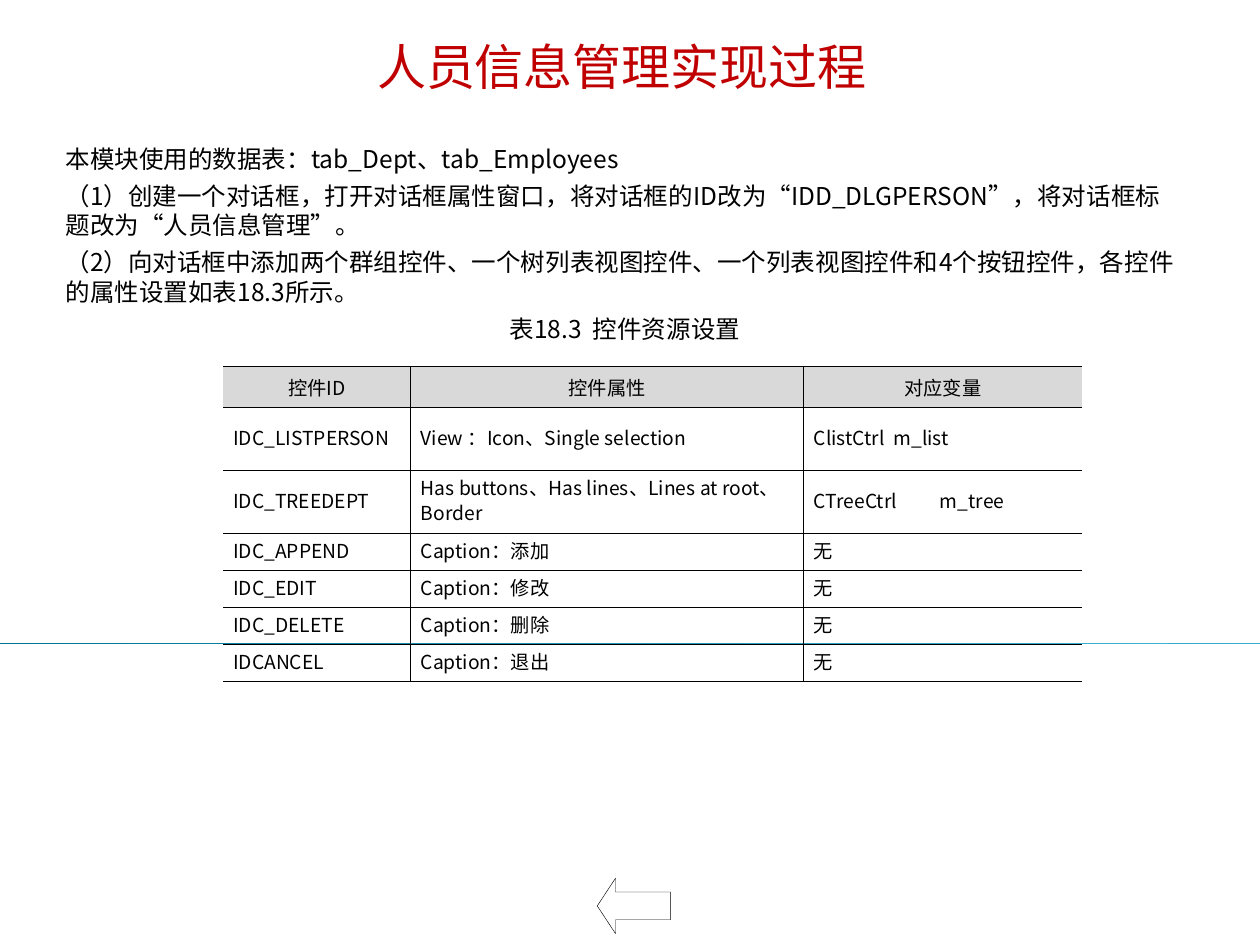
from dataclasses import dataclass

from lxml.etree import SubElement
from pptx import Presentation
from pptx.dml.color import RGBColor
from pptx.enum.shapes import MSO_SHAPE
from pptx.enum.text import MSO_ANCHOR, PP_ALIGN
from pptx.oxml.ns import qn
from pptx.util import Inches, Pt


@dataclass(frozen=True)
class Theme:
    font: str = "Noto Sans CJK SC"
    title_color: str = "C00000"
    ink: str = "000000"
    header_fill: str = "D9D9D9"
    line_dark: str = "007593"
    line_light: str = "48BAE0"
    title_size: float = 28
    body_size: float = 14
    table_size: float = 11
    border_width: float = 0.45


THEME = Theme()

BODY_LINES = [
    "本模块使用的数据表：tab_Dept、tab_Employees",
    "（1）创建一个对话框，打开对话框属性窗口，将对话框的ID改为“IDD_DLGPERSON”，将对话框标题改为“人员信息管理”。",
    "（2）向对话框中添加两个群组控件、一个树列表视图控件、一个列表视图控件和4个按钮控件，各控件的属性设置如表18.3所示。",
]
TABLE_CAPTION = "表18.3  控件资源设置"
CONTROLS = [
    ("控件ID", "控件属性", "对应变量"),
    ("IDC_LISTPERSON", "View ：Icon、Single selection", "ClistCtrl  m_list"),
    ("IDC_TREEDEPT", "Has buttons、Has lines、Lines at root、Border", "CTreeCtrl\tm_tree"),
    ("IDC_APPEND", "Caption：添加", "无"),
    ("IDC_EDIT", "Caption：修改", "无"),
    ("IDC_DELETE", "Caption：删除", "无"),
    ("IDCANCEL", "Caption：退出", "无"),
]
COLUMN_WIDTHS = [1.49, 3.12, 2.21]
ROW_HEIGHTS = [0.32, 0.5, 0.5] + [0.29] * 4


def rgb(color):
    return RGBColor.from_string(color)


def style_paragraph(paragraph, size, color=THEME.ink, alignment=PP_ALIGN.LEFT):
    paragraph.alignment = alignment
    font = paragraph.font
    font.size = Pt(size)
    font.color.rgb = rgb(color)
    font.name = THEME.font
    properties = paragraph._p.pPr.find(qn("a:defRPr"))
    SubElement(properties, qn("a:ea"), typeface=THEME.font)


def add_divider(slide, left, top, width, height):
    divider = slide.shapes.add_shape(MSO_SHAPE.RIGHT_TRIANGLE, left, top, width, height)
    divider.shadow.inherit = False
    divider.line.fill.background()
    divider.fill.gradient()
    divider.fill.gradient_angle = 0
    stops = divider.fill.gradient_stops
    for stop, color in zip(stops, (THEME.line_dark, THEME.line_light)):
        stop.color.rgb = rgb(color)


def place_title(slide, text, left, top, width, height):
    title = slide.shapes.title
    title.left, title.top, title.width, title.height = left, top, width, height
    frame = title.text_frame
    frame.text = text
    frame.vertical_anchor = MSO_ANCHOR.MIDDLE
    style_paragraph(frame.paragraphs[0], THEME.title_size, THEME.title_color, PP_ALIGN.CENTER)


def add_body(slide, left, top, width, height):
    frame = slide.shapes.add_textbox(left, top, width, height).text_frame
    frame.word_wrap = True
    frame.margin_left = frame.margin_right = Inches(0.05)
    frame.margin_top = frame.margin_bottom = Inches(0.05)
    frame.text = "\n".join(BODY_LINES + [TABLE_CAPTION])
    for index, paragraph in enumerate(frame.paragraphs):
        is_caption = index == len(BODY_LINES)
        paragraph.line_spacing = Pt(17)
        if index:
            paragraph.space_before = Pt(4)
        style_paragraph(paragraph, THEME.body_size,
                        alignment=PP_ALIGN.CENTER if is_caption else PP_ALIGN.LEFT)


def set_borders(cell, sides):
    """Draw the listed sides of the cell (L, R, T, B) and clear the others."""
    properties = cell._tc.get_or_add_tcPr()
    for position, side in enumerate("LRTB"):
        line = properties.makeelement(qn(f"a:ln{side}"), {"w": str(Pt(THEME.border_width))})
        if side in sides:
            fill = SubElement(line, qn("a:solidFill"))
            SubElement(fill, qn("a:srgbClr"), val=THEME.ink)
        else:
            SubElement(line, qn("a:noFill"))
        properties.insert(position, line)


def style_cell(cell, text, is_header):
    cell.text = text
    cell.vertical_anchor = MSO_ANCHOR.MIDDLE
    cell.margin_left = cell.margin_right = Inches(0.08)
    cell.margin_top = cell.margin_bottom = Inches(0.05)
    paragraph = cell.text_frame.paragraphs[0]
    if is_header:
        cell.fill.solid()
        cell.fill.fore_color.rgb = rgb(THEME.header_fill)
    else:
        cell.fill.background()
        paragraph.line_spacing = Pt(14)
    style_paragraph(paragraph, THEME.table_size,
                    alignment=PP_ALIGN.CENTER if is_header else PP_ALIGN.LEFT)


def add_control_table(slide, left, top, width, height):
    table = slide.shapes.add_table(
        len(CONTROLS), len(COLUMN_WIDTHS), left, top, width, height).table
    table.first_row = table.horz_banding = False
    for column, column_width in zip(table.columns, COLUMN_WIDTHS):
        column.width = Inches(column_width)
    for row, row_height in zip(table.rows, ROW_HEIGHTS):
        row.height = Inches(row_height)
    column_sides = ["RTB", "LRTB", "LTB"]
    for row_index, values in enumerate(CONTROLS):
        for column_index, value in enumerate(values):
            cell = table.cell(row_index, column_index)
            style_cell(cell, value, is_header=row_index == 0)
            set_borders(cell, column_sides[column_index])


def add_back_arrow(slide, left, top, width, height):
    arrow = slide.shapes.add_shape(MSO_SHAPE.LEFT_ARROW, left, top, width, height)
    arrow.shadow.inherit = False
    arrow.adjustments[1] = 0.33
    arrow.fill.background()
    arrow.line.color.rgb = rgb(THEME.ink)
    arrow.line.width = Pt(0.25)


def main():
    presentation = Presentation()
    presentation.slide_width, presentation.slide_height = Inches(10), Inches(7.5)
    slide = presentation.slides.add_slide(presentation.slide_layouts[5])
    add_divider(slide, Inches(0), Inches(5.1), Inches(10), Inches(0.01))
    place_title(slide, "人员信息管理实现过程",
                Inches(2.34), Inches(0.23), Inches(5.19), Inches(0.58))
    add_body(slide, Inches(0.47), Inches(1.09), Inches(8.98), Inches(5.63))
    add_control_table(slide, Inches(1.77), Inches(2.91),
                      Inches(sum(COLUMN_WIDTHS)), Inches(sum(ROW_HEIGHTS)))
    add_back_arrow(slide, Inches(4.74), Inches(6.97), Inches(0.58), Inches(0.44))
    presentation.save("out.pptx")


if __name__ == "__main__":
    main()
